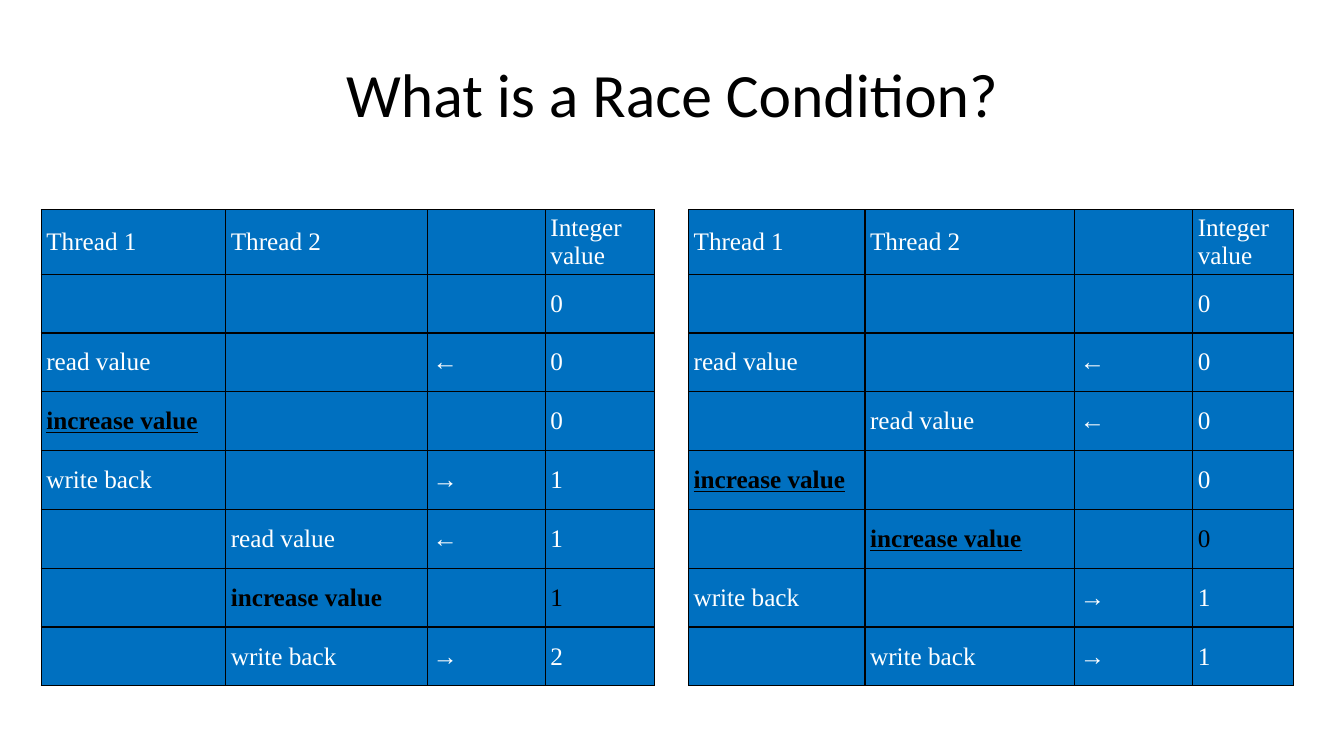
from dataclasses import dataclass

import pptx
import pptx.dml.color
import pptx.enum.text
import pptx.oxml
import pptx.oxml.ns
import pptx.slide
import pptx.table
import pptx.text.text
import pptx.util
from pptx.util import Inches

COLORS = {"cell": "0070C0", "light": "FFFFFF", "dark": "000000"}
HEADER = ("Thread 1", "Thread 2", "", "Integer value")
ARROWS = {"read value": "←", "increase value": "", "write back": "→", "": ""}
TABLE_TOP = 2.08
TABLE_HEIGHT = 4.67


@dataclass
class Step:
    """One action of a thread and the integer value after it."""
    thread: int
    action: str
    value: int
    underline: bool = True

    @property
    def increases(self) -> bool:
        return self.action == "increase value"

    def texts(self) -> tuple[str, ...]:
        actions = [self.action if self.thread == n else "" for n in (1, 2)]
        return (*actions, ARROWS[self.action], str(self.value))


@dataclass
class Schedule:
    left: float
    widths: tuple[float, ...]
    steps: list[Step]


SCHEDULES = [
    Schedule(0.41, (1.83, 2, 1.17, 1.08), [
        Step(0, "", 0),
        Step(1, "read value", 0),
        Step(1, "increase value", 0),
        Step(1, "write back", 1),
        Step(2, "read value", 1),
        Step(2, "increase value", 1, underline=False),
        Step(2, "write back", 2),
    ]),
    Schedule(6.83, (1.75, 2.08, 1.17, 1), [
        Step(0, "", 0),
        Step(1, "read value", 0),
        Step(2, "read value", 0),
        Step(1, "increase value", 0),
        Step(2, "increase value", 0),
        Step(1, "write back", 1),
        Step(2, "write back", 1),
    ]),
]


def set_font(p: pptx.text.text._Paragraph, name: str, size: int, color: str) -> None:
    p.font.name = name
    p.font.size = pptx.util.Pt(size)
    p.font.color.rgb = pptx.dml.color.RGBColor.from_string(COLORS[color])


def add_borders(cell: pptx.table._Cell) -> None:
    tc_pr = cell._tc.get_or_add_tcPr()
    for side in "LRTB":
        tc_pr.append(pptx.oxml.parse_xml(
            f'<a:ln{side} {pptx.oxml.ns.nsdecls("a")} w="12700"><a:solidFill>'
            f'<a:srgbClr val="{COLORS["dark"]}"/></a:solidFill></a:ln{side}>'))


def fill_cell(cell: pptx.table._Cell, text: str, color: str) -> None:
    add_borders(cell)
    cell.fill.solid()
    cell.fill.fore_color.rgb = pptx.dml.color.RGBColor.from_string(COLORS["cell"])
    cell.vertical_anchor = pptx.enum.text.MSO_ANCHOR.MIDDLE
    cell.margin_left = cell.margin_right = Inches(0.05)
    cell.margin_top = cell.margin_bottom = Inches(0.02)
    p = cell.text_frame.paragraphs[0]
    if text:
        p.add_run().text = text
    set_font(p, "Times New Roman", 18, color)


def add_title(s: pptx.slide.Slide, text: str) -> None:
    tf = s.shapes.add_textbox(Inches(0.67), Inches(0.3), Inches(12), Inches(1.25)).text_frame
    tf.word_wrap = True
    tf.vertical_anchor = pptx.enum.text.MSO_ANCHOR.MIDDLE
    p = tf.paragraphs[0]
    p.add_run().text = text
    p.alignment = pptx.enum.text.PP_ALIGN.CENTER
    set_font(p, "Calibri", 44, "dark")


def add_schedule(s: pptx.slide.Slide, schedule: Schedule) -> None:
    table = s.shapes.add_table(
        len(schedule.steps) + 1, len(HEADER), Inches(schedule.left), Inches(TABLE_TOP),
        Inches(sum(schedule.widths)), Inches(TABLE_HEIGHT)).table
    table.first_row = table.horz_banding = False
    for column, width in zip(table.columns, schedule.widths):
        column.width = Inches(width)
    for col, text in enumerate(HEADER):
        fill_cell(table.cell(0, col), text, "light")
    for row, step in enumerate(schedule.steps, 1):
        for col, text in enumerate(step.texts()):
            is_increase = step.increases and text == step.action
            is_late_value = step.increases and step.thread == 2 and col == 3
            cell = table.cell(row, col)
            fill_cell(cell, text, "dark" if is_increase or is_late_value else "light")
            if is_increase:
                font = cell.text_frame.paragraphs[0].font
                font.bold = True
                font.underline = step.underline


def main() -> None:
    prs = pptx.Presentation()
    prs.slide_width, prs.slide_height = Inches(13.33), Inches(7.5)
    s = prs.slides.add_slide(prs.slide_layouts[6])
    add_title(s, "What is a Race Condition?")
    for schedule in SCHEDULES:
        add_schedule(s, schedule)
    prs.save("out.pptx")


if __name__ == "__main__":
    main()
